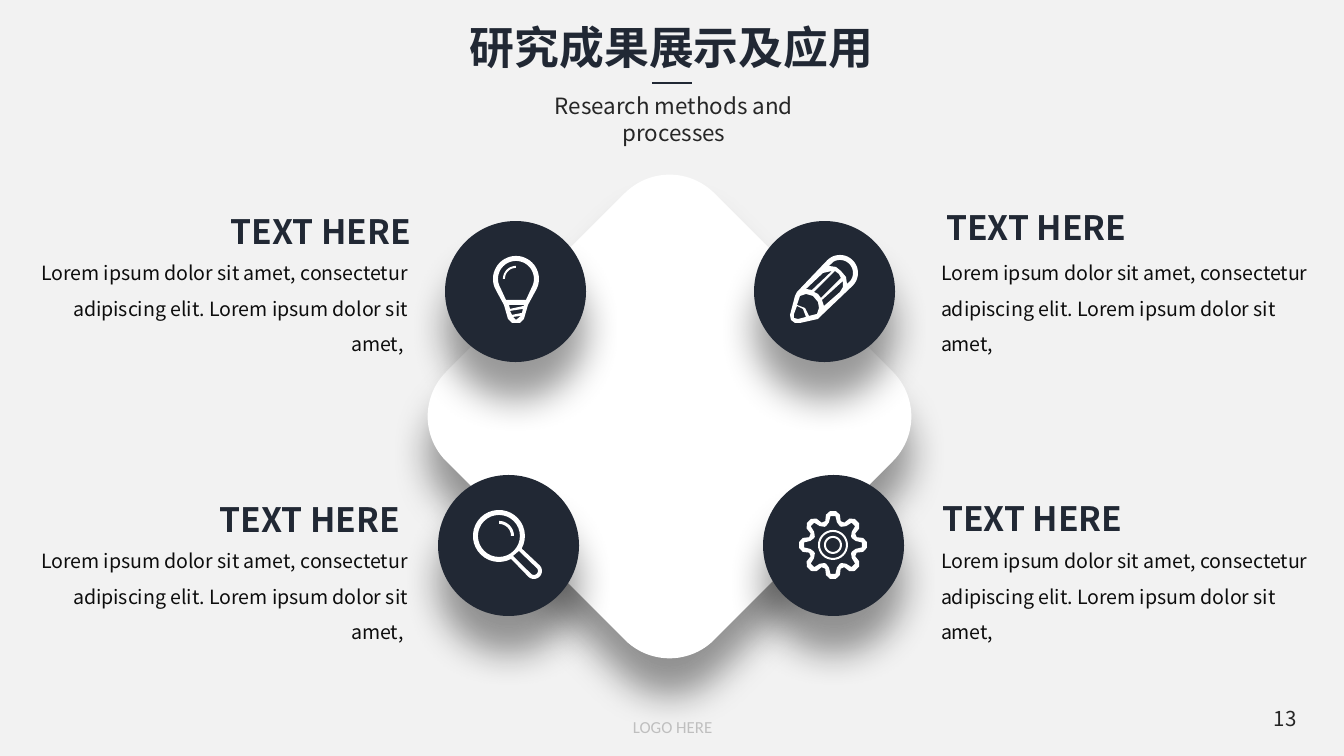
from math import cos, sin, radians
from lxml import etree
from pptx import Presentation
from pptx.dml.color import RGBColor as RGB
from pptx.enum.shapes import MSO_CONNECTOR, MSO_SHAPE as SHAPE
from pptx.enum.text import MSO_ANCHOR as ANCHOR, PP_ALIGN as ALIGN
from pptx.oxml import parse_xml
from pptx.oxml.ns import qn
from pptx.util import Pt

PX = 914400 / 134.4
COLORS = {"page": "F2F2F2", "navy": "212834", "white": "FFFFFF",
          "text": "262626", "body": "0D0D0D", "faint": "BFBFBF"}
CJK = "Noto Sans CJK SC"
SHADOW = """<a:effectLst xmlns:a="http://schemas.openxmlformats.org/drawingml/2006/main">
<a:outerShdw blurRad="254000" dist="254000" dir="5400000" algn="t" rotWithShape="0">
<a:srgbClr val="000000"><a:alpha val="40000"/></a:srgbClr></a:outerShdw></a:effectLst>"""


def arc(cx, cy, radius, start=0, end=360):
    """Points along an arc, clockwise from the right, in degrees."""
    steps = 32
    angles = [radians(start + (end - start) * i / steps) for i in range(steps + 1)]
    return [(cx + radius * cos(a), cy + radius * sin(a)) for a in angles]


def gear(cx, cy, profile):
    """Outline of eight teeth; profile lists (degrees from tooth axis, radius)."""
    return [(cx + radius * cos(radians(45 * tooth + a)),
             cy + radius * sin(radians(45 * tooth + a)))
            for tooth in range(8) for a, radius in profile]


prs = Presentation()
prs.slide_width, prs.slide_height = round(1344 * PX), round(756 * PX)
s = prs.slides.add_slide(prs.slide_layouts[6])
s.background.fill.solid()
s.background.fill.fore_color.rgb = RGB.from_string(COLORS["page"])

# Each icon is a list of shapes; a shape is an outline followed by its holes
pencil = [[
    arc(840, 273, 18, -135, 45)
    + [(821, 316), (818, 319), (800, 323), (795, 323), (791, 320), (790, 315),
       (795, 296), (797, 292)],
    arc(840, 273, 13, -120, 35)
    + [(847, 284), (846, 277), (841, 271), (836, 267), (829, 266)],
    [(809, 316), (805, 308), (797, 305), (800, 296), (806, 294), (813, 296),
     (818, 302), (819, 308), (817, 314)],
    [(798, 319), (794, 318), (794, 314), (797, 306), (803, 309), (806, 317)],
    [(812, 290), (806, 289), (823, 273), (832, 271)],
    [(821, 298), (818, 294), (814, 292), (835, 271), (839, 274), (841, 278)],
    [(824, 306), (822, 300), (843, 281), (843, 287), (840, 292)],
]]
bulb = [
    [arc(516, 279, 23, 150, 390)
     + [(528, 305), (524, 319), (520, 323), (512, 323), (508, 319), (504, 305)],
     arc(516, 279, 18, 150, 390) + [(526, 300), (506, 300)],
     [(509, 305), (524, 305), (524, 306), (510, 309)],
     [(510, 311), (523, 309), (522, 313), (512, 315)],
     [(513, 317), (521, 316), (516, 320)]],
    [arc(516, 279, 13, 180, 270) + arc(516, 279, 11, 270, 180)],
]
cog = [
    [gear(833, 545, [(-18, 25), (-13, 31), (-5, 34), (5, 34), (13, 31), (18, 25)]),
     gear(833, 545, [(-20, 20), (-10, 23), (-5, 29), (5, 29), (10, 23), (20, 20)])],
    [arc(833, 545, 15), arc(833, 545, 13)],
    [arc(833, 545, 9), arc(833, 545, 7)],
]
magnifier = [
    [arc(499, 536, 26, 62, 389) + arc(534, 571, 8, -45, 135),
     arc(499, 536, 21),
     [(513, 556)] + arc(534, 571, 4, 135, -45) + [(519, 551)]],
    [arc(499, 536, 15, 270, 360) + arc(499, 536, 12, 360, 270)],
]

# White diamond, then the four icon discs
panels = [
    (SHAPE.ROUNDED_RECTANGLE, 480, 227, 379, "white", []),
    (SHAPE.OVAL, 754, 221, 141, "navy", pencil),
    (SHAPE.OVAL, 445, 221, 141, "navy", bulb),
    (SHAPE.OVAL, 763, 475, 141, "navy", cog),
    (SHAPE.OVAL, 438, 475, 141, "navy", magnifier),
]
for kind, x, y, size, color, icon in panels:
    shapes = s.shapes.add_group_shape().shapes if icon else s.shapes
    sp = shapes.add_shape(kind, *[round(v * PX) for v in (x, y, size, size)])
    sp.rotation = 0 if icon else 45
    sp.fill.solid()
    sp.fill.fore_color.rgb = RGB.from_string(COLORS[color])
    sp.line.fill.background()
    sp._element.spPr.append(parse_xml(SHADOW))
    for contours in icon:
        first, *holes = [[(x * PX, y * PX) for x, y in c] for c in contours]
        builder = shapes.build_freeform(*first[0])
        builder.add_line_segments(first[1:])
        for hole in holes:
            builder.move_to(*hole[0])
            builder.add_line_segments(hole[1:])
        sp = builder.convert_to_shape()
        sp.shadow.inherit = False
        sp.fill.solid()
        sp.fill.fore_color.rgb = RGB.from_string(COLORS["white"])
        sp.line.fill.background()

rule = s.shapes.add_connector(MSO_CONNECTOR.STRAIGHT,
                              *[round(v * PX) for v in (652, 83, 692, 83)])
rule.line.color.rgb = RGB.from_string(COLORS["navy"])
rule.line.width = Pt(1.5)
etree.SubElement(rule._element.spPr, qn("a:effectLst"))

# text, left, top, width, height, size, colour, font, bold, alignment
texts = [
    ("LOGO HERE", 548, 710, 249, 34, 9, "faint", "Calibri", False, ALIGN.CENTER),
    ("研究成果展示及应用", 449, 13, 445, 67, 24, "navy", CJK, True, ALIGN.CENTER),
    ("Research methods and processes", 508, 86, 332, 40, 12, "text", CJK, False,
     ALIGN.CENTER),
    ("13", 1008, 698, 302, 40, 11, "text", CJK, False, ALIGN.RIGHT),
]
for x, y, w, align in [(933, 200, 251, ALIGN.LEFT), (929, 491, 263, ALIGN.LEFT),
                       (187, 204, 237, ALIGN.RIGHT), (176, 492, 237, ALIGN.RIGHT)]:
    texts.append(("TEXT HERE", x, y, w, 54, 18, "navy", CJK, True, align))
lorem = "Lorem ipsum dolor sit amet, consectetur adipiscing elit. Lorem ipsum dolor sit amet,"
for x, align, end in [(937, ALIGN.LEFT, ""), (13, ALIGN.RIGHT, " ")]:
    for y in (243, 531):
        texts.append((lorem + end, x, y, 399, 81, 10.5, "body", CJK, False, align))

for text, x, y, w, h, size, color, font, bold, align in texts:
    tf = s.shapes.add_textbox(*[round(v * PX) for v in (x, y, w, h)]).text_frame
    tf.word_wrap = True
    p = tf.paragraphs[0]
    p.alignment = align
    if color == "body":
        tf.margin_left = tf.margin_right = round(4 * PX)
        p.line_spacing = 1.5
    if text == "13":
        tf.vertical_anchor = ANCHOR.MIDDLE
    r = p.add_run()
    r.text = text
    r.font.size, r.font.bold, r.font.name = Pt(size), bold, font
    r.font.color.rgb = RGB.from_string(COLORS[color])
    etree.SubElement(r._r.rPr, qn("a:ea"), typeface=font)

prs.save("out.pptx")
